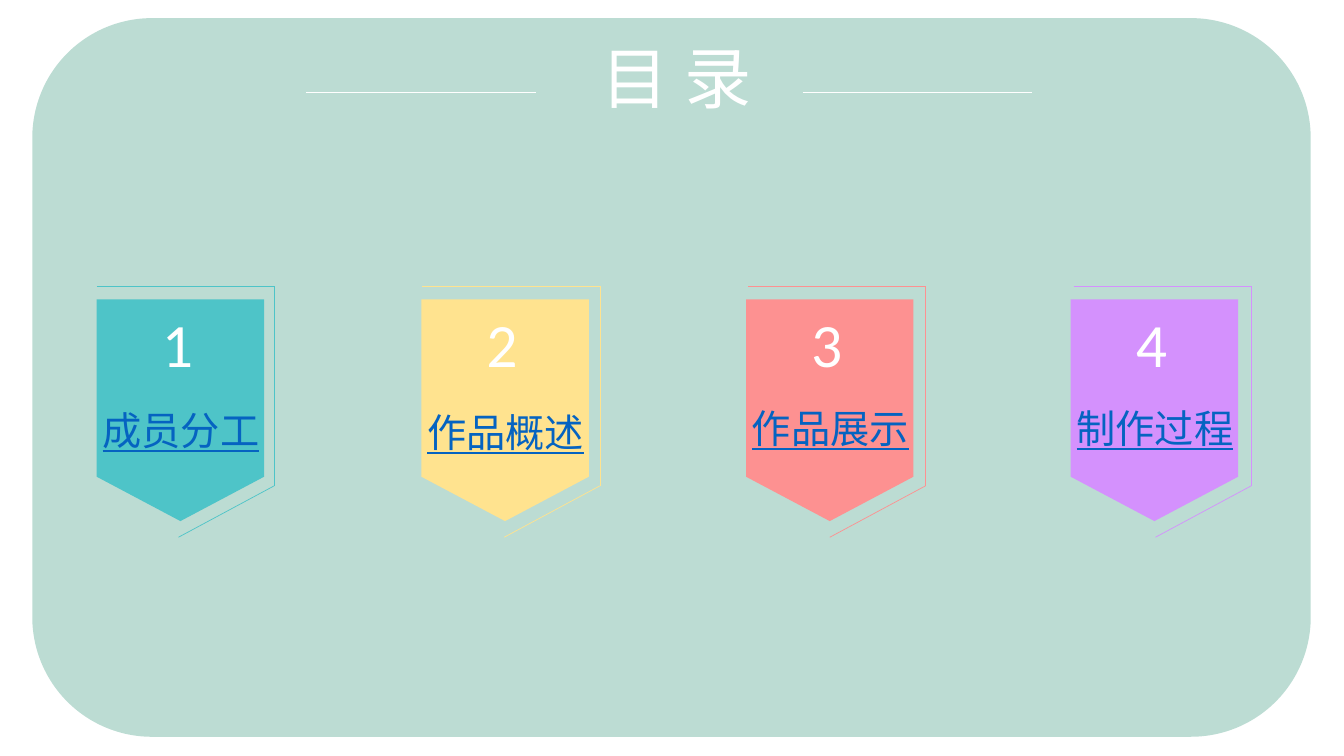
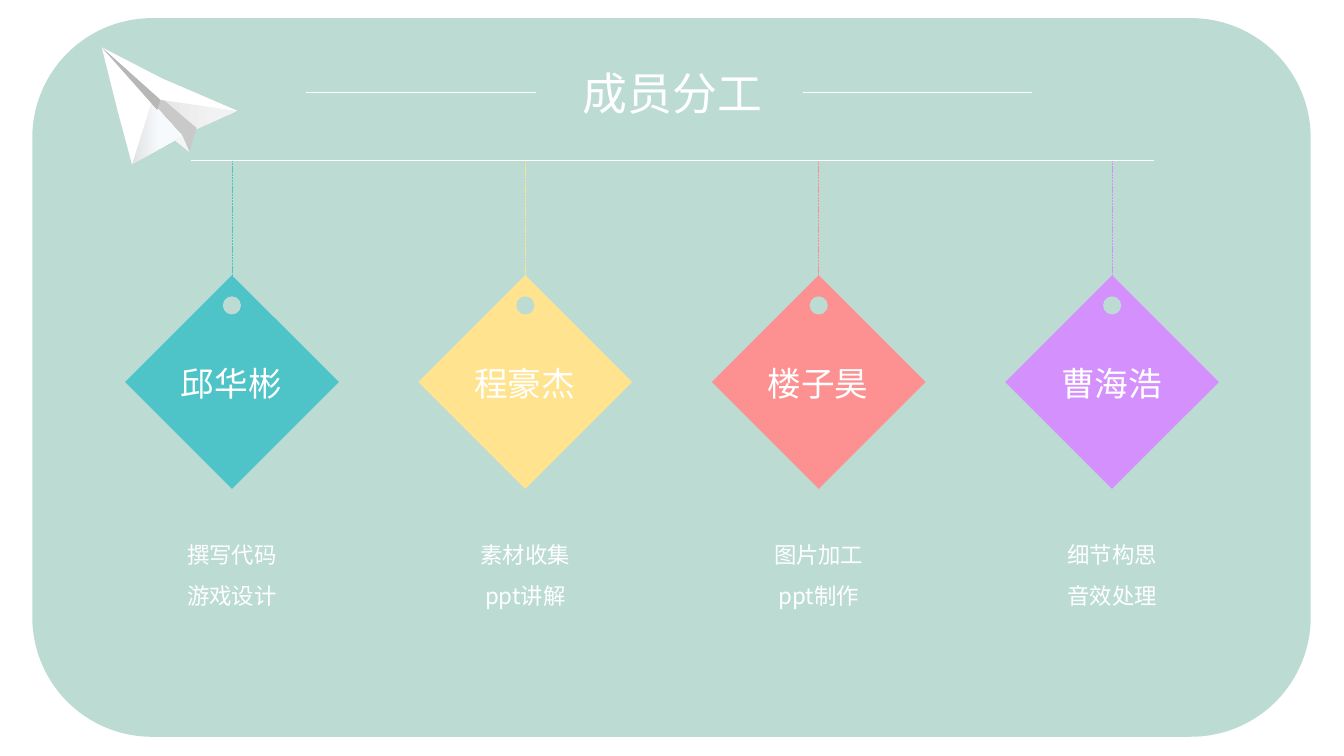
from lxml import etree
from pptx import Presentation
from pptx.dml.color import RGBColor
from pptx.enum.dml import MSO_LINE
from pptx.enum.shapes import MSO_CONNECTOR, MSO_SHAPE
from pptx.enum.text import MSO_ANCHOR, MSO_AUTO_SIZE, PP_ALIGN
from pptx.oxml.ns import qn
from pptx.util import Inches, Pt

WHITE = RGBColor(0xFF, 0xFF, 0xFF)
MINT = RGBColor(0xBC, 0xDC, 0xD3)
TEAL = RGBColor(0x4E, 0xC4, 0xC8)
YELLOW = RGBColor(0xFF, 0xE3, 0x8F)
CORAL = RGBColor(0xFD, 0x91, 0x91)
PURPLE = RGBColor(0xD4, 0x91, 0xFD)
BLUE = RGBColor(0x05, 0x63, 0xC1)
GREY = RGBColor(0xC9, 0xC9, 0xC9)
DARK = RGBColor(0xB7, 0xB7, 0xB7)
PALE = RGBColor(0xF5, 0xF5, 0xF5)
FOLD = (0.3, RGBColor(0xE3, 0xE3, 0xE3)), (0.85, RGBColor(0xF2, 0xF2, 0xF2))
WING = (0.3, RGBColor(0xDB, 0xDB, 0xDB)), (0.72, RGBColor(0xF7, 0xFA, 0xFD))
HUES = TEAL, YELLOW, CORAL, PURPLE

HAN = "Noto Sans CJK SC"
LATIN = "Calibri"
STRAIGHT = MSO_CONNECTOR.STRAIGHT
DASH = MSO_LINE.SQUARE_DOT
CENTER = PP_ALIGN.CENTER
TOP = MSO_ANCHOR.TOP
FIXED = MSO_AUTO_SIZE.NONE
PANEL = MSO_SHAPE.ROUNDED_RECTANGLE
TAG = MSO_SHAPE.FLOWCHART_OFFPAGE_CONNECTOR
DIAMOND = MSO_SHAPE.DIAMOND
HOLE = MSO_SHAPE.FLOWCHART_CONNECTOR


def draw(slide, kind, box, color):
    """Add a plain filled shape; box is left, top, width, height in inches."""
    shape = slide.shapes.add_shape(kind, *map(Inches, box))
    shape.shadow.inherit = False
    shape.fill.solid()
    shape.fill.fore_color.rgb = color
    shape.line.fill.background()
    return shape


def write(shape, box, lines, size, font=HAN, color=WHITE, under=None, gap=1.0):
    """Place a text shape and fill it with centred lines."""
    shape.left, shape.top, shape.width, shape.height = map(Inches, box)
    frame = shape.text_frame
    frame.word_wrap = True
    frame.auto_size = FIXED
    frame.vertical_anchor = TOP
    for i, line in enumerate(lines):
        para = frame.add_paragraph() if i else frame.paragraphs[0]
        para.alignment = CENTER
        para.line_spacing = gap
        run = para.add_run()
        run.text = line
        run.font.size = Pt(size)
        run.font.name = font
        run.font.color.rgb = color
        run.font.underline = under
        east = etree.SubElement(run.font._element, qn("a:ea"))
        east.set("typeface", font)


deck = Presentation()
deck.slide_width, deck.slide_height = Inches(13.33), Inches(7.5)

# Shared panel, title and title rules
rules = []  # slide, colour, dash, ends
pages = []
for title, size, box in (
    ("目 录", 48, (5.65, 0.31, 2.12, 0.91)),
    ("成员分工", 32, (5.61, 0.6, 2.12, 0.64)),
):
    slide = deck.slides.add_slide(deck.slide_layouts[5])
    panel = draw(slide, PANEL, (0.32, 0.18, 12.68, 7.13), MINT)
    slide.shapes._spTree.insert(2, panel._element)
    write(slide.shapes.title, box, [title], size)
    for x in (3.04, 7.96):
        rules.append((slide, WHITE, None, (x, 0.92, x + 2.28, 0.92)))
    pages.append(slide)
index, team = pages

# Contents: four tags, each with an offset outline
topics = ("成员分工", 3.98), ("作品概述", 4), ("作品展示", 3.96), ("制作过程", 3.96)
for i, ((topic, top), hue) in enumerate(zip(topics, HUES)):
    left = 0.96 + 3.22 * i
    draw(index, TAG, (left, 2.97, 1.66, 2.2), hue)
    label = index.shapes.add_textbox(0, 0, 0, 0)
    write(label, (left - 0.34, top, 2.35, 0.57), [topic], 28, color=BLUE, under=True)
    number = index.shapes.add_textbox(0, 0, 0, 0)
    write(number, (left + 0.37, 2.99, 0.86, 0.84), [str(i + 1)], 44, LATIN)
    edge = 2.72 + 3.23 * i
    for ends in (
        (edge - 1.76, 2.84, edge, 2.84),
        (edge, 2.84, edge, 4.82),
        (edge, 4.82, edge - 0.95, 5.33),
    ):
        rules.append((index, hue, None, ends))

# Paper plane: facets with corners in hundredths of an inch
NOSE = (101, 47)
facets = (
    (FOLD, ((195, 128), NOSE, (161, 78), (235, 110))),
    (GREY, ((195, 127), NOSE, (143, 99), (188, 151))),
    (PALE, ((181, 135), (188, 151), (173, 139))),
    (WING, ((181, 135), NOSE, (117, 111), (131, 163))),
    (WHITE, ((159, 99), NOSE, (161, 78), (235, 110))),
    (WHITE, ((150, 102), NOSE, (117, 111), (131, 163))),
    (DARK, ((156, 109), NOSE, (159, 99))),
)
for paint, (start, *rest) in facets:
    pen = team.shapes.build_freeform(*start, scale=Inches(0.01))
    pen.add_line_segments(rest)
    facet = pen.convert_to_shape()
    facet.shadow.inherit = False
    facet.line.fill.background()
    if isinstance(paint, RGBColor):
        facet.fill.solid()
        facet.fill.fore_color.rgb = paint
    else:
        facet.fill.gradient()
        facet.fill.gradient_angle = 0
        for stop, (place, color) in zip(facet.fill.gradient_stops, paint):
            stop.position = place
            stop.color.rgb = color

# Team: four hanging diamonds with duties below
people = (
    ("邱华彬", "撰写代码", "游戏设计"),
    ("程豪杰", "素材收集", "ppt讲解"),
    ("楼子昊", "图片加工", "ppt制作"),
    ("曹海浩", "细节构思", "音效处理"),
)
for i, ((name, *duties), hue) in enumerate(zip(people, HUES)):
    mid = 2.3 + 2.91 * i
    draw(team, DIAMOND, (mid - 1.06, 2.73, 2.12, 2.12), hue)
    draw(team, HOLE, (mid - 0.09, 2.94, 0.18, 0.18), MINT)
    rules.append((team, hue, DASH, (mid, 2.94, mid, 1.58)))
    label = team.shapes.add_textbox(0, 0, 0, 0)
    write(label, (mid - 0.94, 3.55, 1.87, 0.5), [name], 24)
    notes = team.shapes.add_textbox(0, 0, 0, 0)
    write(notes, (mid - 1.51, 5.19, 3.02, 1.31), duties, 16, gap=1.5)
rules.append((team, WHITE, None, (1.89, 1.59, 11.45, 1.59)))

for slide, color, dash, ends in rules:
    rule = slide.shapes.add_connector(STRAIGHT, *map(Inches, ends))
    rule.line.color.rgb = color
    rule.line.width = Pt(0.5)
    rule.line.dash_style = dash
    etree.SubElement(rule._element.spPr, qn("a:effectLst"))

deck.save("out.pptx")
